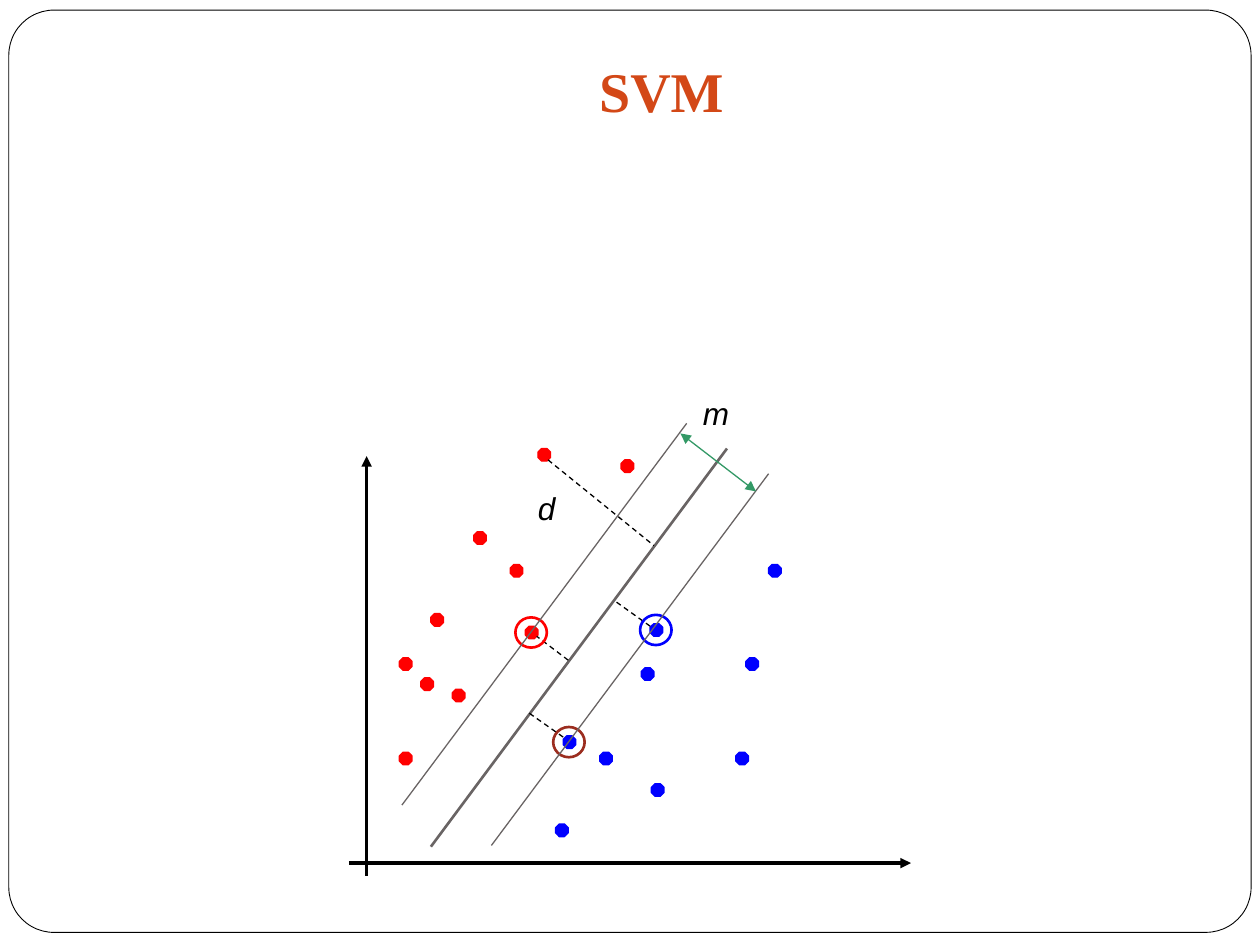
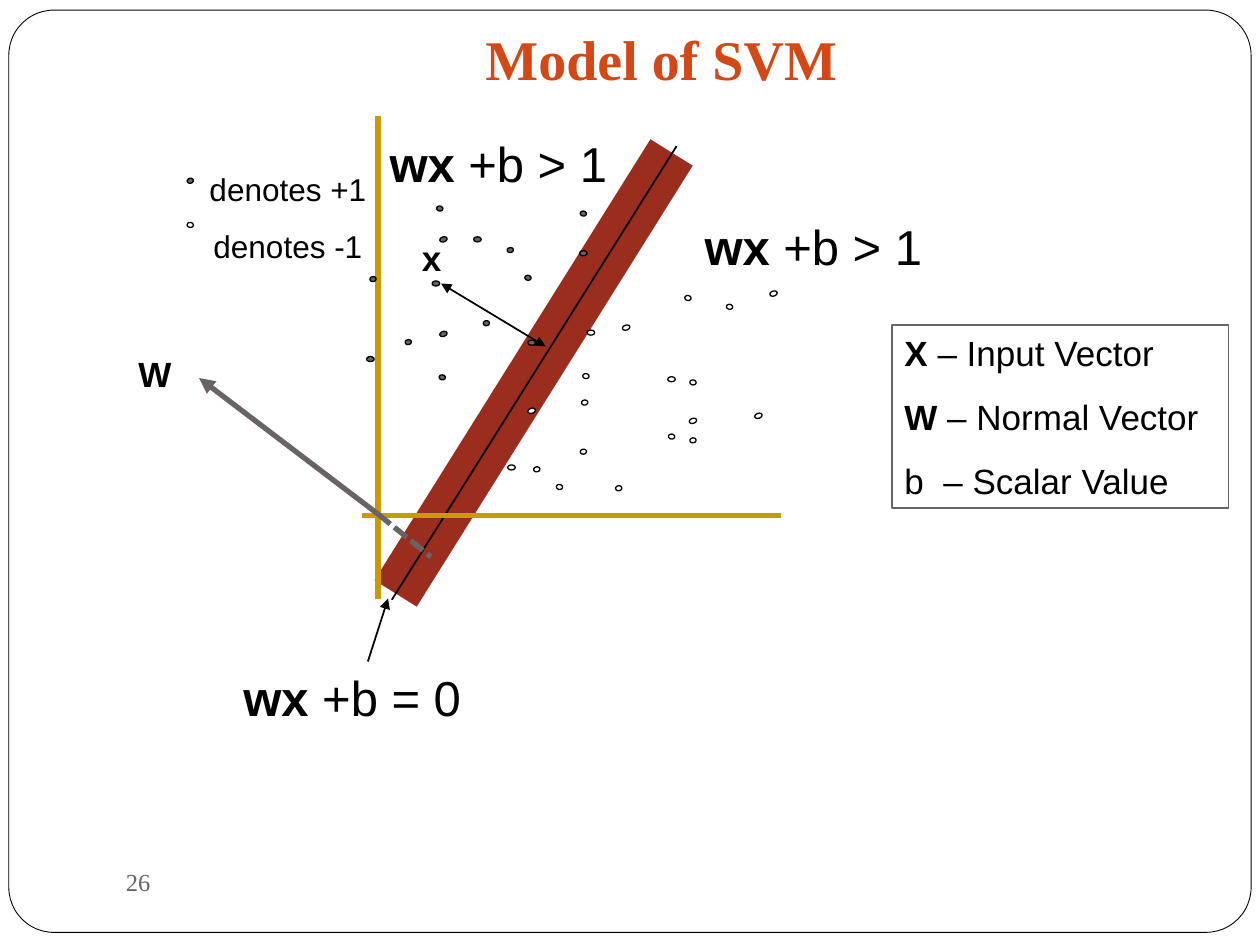
from lxml.etree import SubElement
from pptx import Presentation
from pptx.dml.color import RGBColor
from pptx.enum.dml import MSO_LINE
from pptx.enum.shapes import MSO_CONNECTOR, MSO_SHAPE
from pptx.enum.text import MSO_ANCHOR, PP_ALIGN
from pptx.oxml.ns import qn
from pptx.util import Inches, Pt

BLACK = RGBColor(0, 0, 0)
WHITE = RGBColor(255, 255, 255)
GREY = RGBColor(0x69, 0x64, 0x64)
RED = RGBColor(255, 0, 0)
BLUE = RGBColor(0, 0, 255)
BRICK = RGBColor(0x9B, 0x2D, 0x1F)
RUST = RGBColor(0xD3, 0x48, 0x17)
GOLD = RGBColor(0xCC, 0x99, 0)
GREEN = RGBColor(0x33, 0x99, 0x66)
SERIF = "Times New Roman"
LINE = MSO_CONNECTOR.STRAIGHT
DASH, DOT = MSO_LINE.DASH, MSO_LINE.SQUARE_DOT
CENTER = PP_ALIGN.CENTER


def draw(slide, kind, box, ink=BLACK, width=0.75, fill=None, dash=None, ends=""):
    """Draw a line (box is x1, y1, x2, y2) or a shape (left, top, width, height).

    ends names the arrowheads: "head" at the start, "tail" at the end.
    """
    place = [Inches(n) for n in box]
    if kind == LINE:
        item = slide.shapes.add_connector(kind, *place)
    else:
        item = slide.shapes.add_shape(kind, *place)
        item.shadow.inherit = False
        if fill is None:
            item.fill.background()
        else:
            item.fill.solid()
            item.fill.fore_color.rgb = fill
    item.line.color.rgb = ink
    item.line.width = Pt(width)
    if dash:
        item.line.dash_style = dash
    if kind == LINE:
        for end in ends.split():
            SubElement(item.line._get_or_add_ln(), qn(f"a:{end}End"), type="triangle")
        SubElement(item._element.spPr, qn("a:effectLst"))
    return item


def write(slide, text, box, size=18, font="Arial", color=BLACK, italic=False,
          align=PP_ALIGN.LEFT, anchor=MSO_ANCHOR.TOP, pad=(0.1, 0.05, 0.1, 0.05), gap=0):
    """Add a text box; each line is a paragraph and **marks** enclose bold words."""
    item = slide.shapes.add_textbox(*[Inches(n) for n in box])
    frame = item.text_frame
    frame.word_wrap = True
    frame.vertical_anchor = anchor
    frame.margin_left, frame.margin_top, frame.margin_right, frame.margin_bottom = (
        Inches(n) for n in pad)
    for i, row in enumerate(text.split("\n")):
        para = frame.add_paragraph() if i else frame.paragraphs[0]
        para.alignment = align
        if i:
            para.space_before = Pt(gap)
        for j, part in enumerate(row.split("**")):
            if part:
                run = para.add_run()
                run.text = part
                run.font.name = font
                run.font.size = Pt(size)
                run.font.bold = j % 2 == 1
                run.font.italic = italic
                run.font.color.rgb = color
    return item


deck = Presentation()
deck.slide_width, deck.slide_height = Inches(10), Inches(7.5)

# Shared frame and title
slides = []
for title, height in [("SVM", 1.08), ("Model of SVM", 0.83)]:
    slide = deck.slides.add_slide(deck.slide_layouts[6])
    frame = draw(slide, MSO_SHAPE.ROUNDED_RECTANGLE, (0.07, 0.08, 9.86, 7.32),
                 width=0.5, fill=WHITE)
    frame.adjustments[0] = 0.049
    write(slide, f"**{title}**", (1, 0, 8.5, height), size=32, font=SERIF, color=RUST,
          align=CENTER, anchor=MSO_ANCHOR.BOTTOM, pad=(0.1, 0.05, 0.1, 0.1))
    slides.append(slide)
margin, model = slides

# Margin plot: axes, two classes, separating line
for axis in [(2.91, 6.95, 2.91, 3.62), (2.77, 6.85, 7.23, 6.85)]:
    draw(margin, LINE, axis, width=2, ends="tail")

classes = {
    RED: [(4.05, 4.48), (3.42, 4.87), (3.59, 5.47), (3.17, 5.97), (3.76, 4.22),
          (3.17, 5.22), (3.34, 5.38), (4.17, 4.97), (4.27, 3.56), (4.93, 3.65)],
    BLUE: [(5.16, 4.95), (4.76, 5.97), (5.84, 5.97), (4.41, 6.54), (5.09, 5.3),
           (4.47, 5.84), (5.17, 6.22), (5.92, 5.22), (6.1, 4.48)],
}
for color, spots in classes.items():
    for x, y in spots:
        draw(margin, MSO_SHAPE.OCTAGON, (x, y, 0.1, 0.1), color, fill=color)

draw(margin, LINE, (3.42, 6.72, 5.77, 3.56), GREY, 1.5)
for gap in [(4.35, 3.65, 5.19, 4.33), (5.16, 4.97, 4.88, 4.77),
            (4.47, 5.85, 4.2, 5.66), (4.51, 5.24, 4.26, 5.05)]:
    draw(margin, LINE, gap, dash=DASH)
for x, y, color in [(4.09, 4.9, RED), (4.39, 5.77, BRICK), (5.08, 4.88, BLUE)]:
    draw(margin, MSO_SHAPE.OVAL, (x, y, 0.25, 0.24), color, 1.5)
for edge in [(3.9, 6.71, 6.1, 3.76), (3.19, 6.39, 5.45, 3.36)]:
    draw(margin, LINE, edge, GREY)
draw(margin, LINE, (5.4, 3.44, 6, 3.9), GREEN, ends="head tail")
write(margin, "d", (4.17, 3.83, 0.54, 0.4), italic=True)
write(margin, "m", (5.48, 3.08, 1.25, 0.4), italic=True)

# Model plot: band, axes, two classes
write(model, "26", (1, 6.75, 4.33, 0.5), size=14, font=SERIF, color=GREY,
      anchor=MSO_ANCHOR.MIDDLE, pad=(0, 0, 0, 0))
draw(model, LINE, (3.14, 4.71, 5.33, 1.21), BRICK, 28.5)
draw(model, LINE, (3.11, 4.76, 5.37, 1.16), width=1)
write(model, "denotes +1\ndenotes -1", (1.42, 1.3, 1.73, 0.86), align=CENTER, gap=11.2)
for axis in [(3, 0.92, 3, 4.75), (2.87, 4.09, 6.2, 4.09)]:
    draw(model, LINE, axis, GOLD, 3)

# Each group: tilt, dot size, positive spots, negative spots
groups = [
    (0, (0.06, 0.04),
     [(2.91, 2.83), (4.6, 1.99), (3.76, 1.88), (4.19, 2.7), (3.43, 2.23)],
     [(4.03, 3.69), (4.66, 2.62), (5.3, 2.99)]),
    (341.4, (0.06, 0.04),
     [(3.49, 1.88), (3.49, 2.63)],
     [(4.19, 3.24), (6.11, 2.31), (5.47, 3.32), (4.94, 2.58), (5.99, 3.28)]),
    (98.2, (0.04, 0.05),
     [(4.17, 2.18), (3.49, 2.97), (4.61, 1.67), (3.47, 1.63)],
     [(1.49, 1.76), (4.42, 3.84), (5.48, 3.01), (4.63, 2.96), (5.77, 2.41),
      (5.44, 2.34), (5.31, 3.44)]),
    (79.6, (0.04, 0.05),
     [(1.49, 1.41), (3.84, 2.54), (3.22, 2.69), (4.03, 1.96), (2.94, 2.19)],
     [(4.89, 3.85), (4.61, 3.56), (4.62, 3.17), (4.24, 3.7), (5.48, 3.47)]),
]
for tilt, size, plus, minus in groups:
    for fill, spots in [(GREY, plus), (WHITE, minus)]:
        for spot in spots:
            dot = draw(model, MSO_SHAPE.OVAL, spot + size, fill=fill)
            dot.rotation = tilt

# Vectors and labels
draw(model, LINE, (3.5, 2.25, 4.33, 2.75), width=1, ends="head tail")
draw(model, LINE, (2.92, 5.25, 3.08, 4.75), width=1, ends="tail")
draw(model, LINE, (3, 4.08, 1.58, 3), GREY, 3, ends="tail")
draw(model, LINE, (3, 4.08, 3.42, 4.42), GREY, 3, dash=DOT)
for name, x, y in [("x", 3.25, 1.83), ("W", 1, 2.75)]:
    write(model, f"**{name}**", (x, y, 0.5, 0.44), size=20)
for sign, x, y in [("= 0", 1.67, 5.25), ("> 1", 5.33, 1.67), ("> 1", 2.83, 1.01)]:
    write(model, f"**wx **+b {sign}", (x, y, 2.25, 0.57), size=28, align=CENTER)
legend = write(model, "**X** – Input Vector\n**W** – Normal Vector\nb  – Scalar Value",
               (7.08, 2.58, 2.67, 1.45), size=20, gap=12.5)
legend.line.color.rgb = GREY
legend.line.width = Pt(1)

deck.save("out.pptx")
